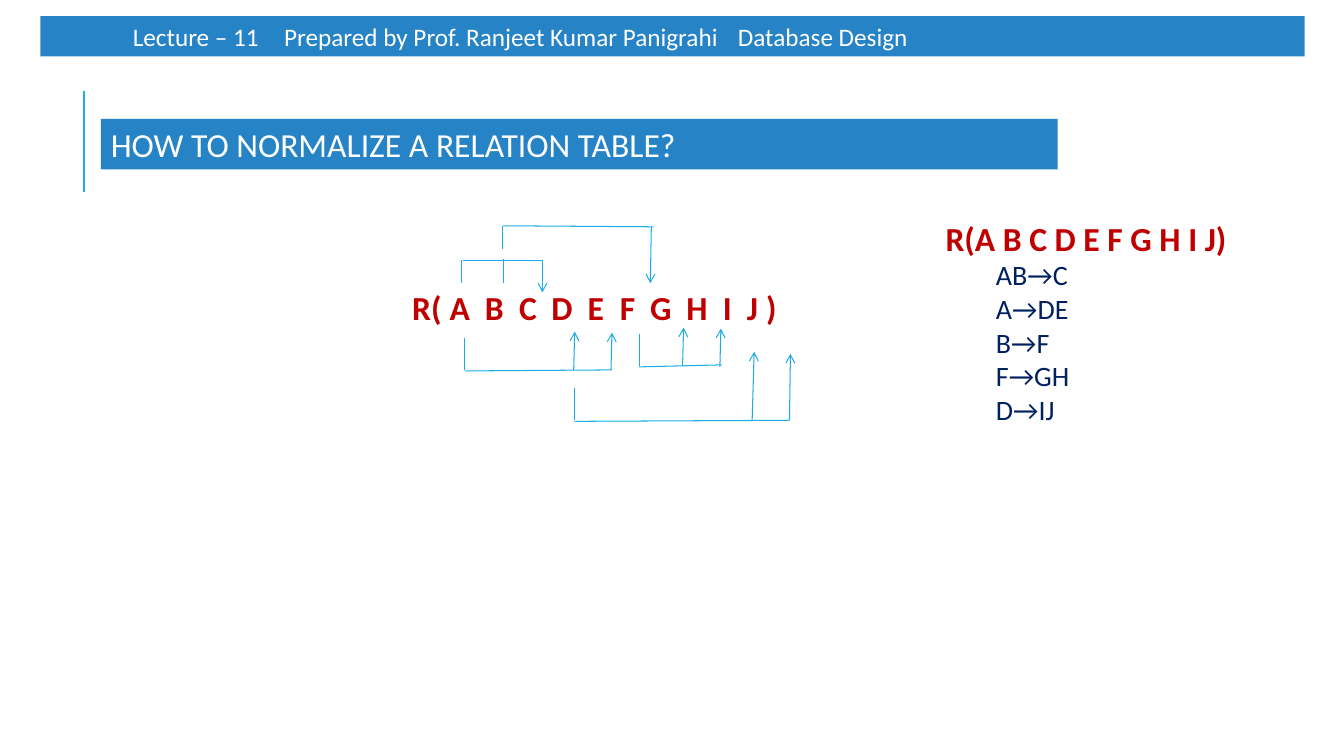
"""Build the slide that shows how to normalize a relation table."""
from dataclasses import dataclass
from typing import Any

from lxml.etree import SubElement
from pptx import Presentation
from pptx.dml.color import RGBColor as Rgb
from pptx.enum.shapes import MSO_CONNECTOR as Connector, MSO_SHAPE as Preset
from pptx.enum.text import MSO_ANCHOR as Anchor, PP_ALIGN as Align
from pptx.oxml.ns import qn
from pptx.util import Inches, Pt

Point = tuple[float, float]
Segment = tuple[Point, Point]


@dataclass(frozen=True)
class Theme:
    """Colours, font and type sizes of the slide."""
    font: str = "Calibri"
    banner: str = "2683C6"
    accent: str = "1CADE4"
    white: str = "FFFFFF"
    relation: str = "C00000"
    dependency: str = "002060"
    heading_size: int = 24
    dependency_size: int = 20
    header_size: int = 18
    bracket_width: float = 0.75
    rule_width: float = 1.5


THEME = Theme()


@dataclass(frozen=True)
class Line:
    """One paragraph with its type, indent and tab stops in inches."""
    text: str
    size: int
    color: str
    bold: bool = False
    indent: float = 0
    tabs: tuple[float, ...] = ()


@dataclass(frozen=True)
class Block:
    """A box of text, filled when it is a banner."""
    left: float
    top: float
    width: float
    height: float
    lines: tuple[Line, ...]
    fill: str | None = None


@dataclass(frozen=True)
class Bracket:
    """One dependency: a bar, the determinant stems and the arrows."""
    bar: Segment
    stems: tuple[Segment, ...]
    arrows: tuple[Segment, ...]


DEPENDENCIES = ("AB→C", "A→DE", "B→F", "F→GH", "D→IJ")
ATTRIBUTE_STOPS = (0.37, 0.72, 1.06, 1.38, 1.74, 2.06, 2.36, 2.72, 3.08, 3.32, 3.51)

BLOCKS = (
    Block(1, 1.18, 9.49, 0.5, (
        Line("HOW TO NORMALIZE A RELATION TABLE?", THEME.heading_size, THEME.white),
    ), THEME.banner),
    Block(0.4, 0.16, 12.54, 0.4, (
        Line("Lecture – 11\tPrepared by Prof. Ranjeet Kumar Panigrahi\tDatabase Design",
             THEME.header_size, THEME.white, indent=0.82, tabs=(3.55, 9.81)),
    ), THEME.banner),
    Block(3.99, 2.8, 4.19, 0.5, (
        Line("\t".join(("R(", *"ABCDEFGHIJ", ")")), THEME.heading_size,
             THEME.relation, True, tabs=ATTRIBUTE_STOPS),
    )),
    Block(9.28, 2.11, 3.35, 2.26, (
        Line("R(A B C D E F G H I J)", THEME.heading_size, THEME.relation, True),
        *(Line(rule, THEME.dependency_size, THEME.dependency, indent=0.5)
          for rule in DEPENDENCIES),
    )),
)

BRACKETS = (
    Bracket(((4.59, 2.58), (5.39, 2.58)),
            (((4.58, 2.58), (4.58, 2.81)), ((4.99, 2.57), (4.99, 2.81))),
            (((5.38, 2.59), (5.38, 2.9)),)),
    Bracket(((4.99, 2.24), (6.48, 2.25)),
            (((4.98, 2.24), (4.98, 2.47)),),
            (((6.46, 2.25), (6.45, 2.81)),)),
    Bracket(((4.61, 3.68), (6.07, 3.67)),
            (((4.61, 3.35), (4.61, 3.67)),),
            (((5.69, 3.67), (5.7, 3.29)), ((6.06, 3.67), (6.07, 3.3)))),
    Bracket(((5.7, 4.18), (7.83, 4.17)),
            (((5.7, 3.85), (5.7, 4.17)),),
            (((7.46, 4.17), (7.48, 3.49)), ((7.83, 4.17), (7.84, 3.51)))),
    Bracket(((6.34, 3.64), (7.16, 3.62)),
            (((6.34, 3.31), (6.34, 3.63)),),
            (((6.77, 3.63), (6.78, 3.25)), ((7.14, 3.64), (7.15, 3.26)))),
)


def apply_format(target: Any, values: dict[str, Any]) -> None:
    """Set every named attribute on the target."""
    for name, value in values.items():
        setattr(target, name, value)


def write_line(paragraph: Any, line: Line) -> None:
    """Fill one paragraph."""
    paragraph.alignment = Align.LEFT
    properties = paragraph._p.get_or_add_pPr()
    if line.indent:
        apply_indent = {"marL": line.indent, "indent": 0}
        for name, inches in apply_indent.items():
            properties.set(name, str(Inches(inches)))
    if line.tabs:
        stops = SubElement(properties, qn("a:tabLst"))
        for stop in line.tabs:
            SubElement(stops, qn("a:tab"), pos=str(Inches(stop)), algn="l")
    run = paragraph.add_run()
    run.text = line.text
    apply_format(run.font, {"name": THEME.font, "size": Pt(line.size), "bold": line.bold})
    run.font.color.rgb = Rgb.from_string(line.color)


def draw_block(shapes: Any, block: Block) -> None:
    """Draw a banner or a plain text box."""
    place = [Inches(v) for v in (block.left, block.top, block.width, block.height)]
    if block.fill:
        box = shapes.add_shape(Preset.RECTANGLE, *place)
        box.shadow.inherit = False
        box.fill.solid()
        box.fill.fore_color.rgb = Rgb.from_string(block.fill)
        box.line.fill.background()
    else:
        box = shapes.add_textbox(*place)
    frame = box.text_frame
    apply_format(frame, {"word_wrap": True, "vertical_anchor": Anchor.TOP})
    for index, line in enumerate(block.lines):
        write_line(frame.add_paragraph() if index else frame.paragraphs[0], line)


def draw_segment(shapes: Any, segment: Segment, width: float, arrow: bool = False) -> None:
    """Draw one straight line, with an open arrowhead if asked."""
    start, end = segment
    edge = shapes.add_connector(Connector.STRAIGHT, *map(Inches, (*start, *end)))
    edge.line.width = Pt(width)
    edge.line.color.rgb = Rgb.from_string(THEME.accent)
    if arrow:
        SubElement(edge.line._get_or_add_ln(), qn("a:tailEnd"), type="arrow")
    SubElement(edge._element.spPr, qn("a:effectLst"))


def draw_bracket(shapes: Any, bracket: Bracket) -> None:
    """Draw one dependency as a group of lines."""
    group = shapes.add_group_shape().shapes
    for segment in (bracket.bar, *bracket.stems):
        draw_segment(group, segment, THEME.bracket_width)
    for segment in bracket.arrows:
        draw_segment(group, segment, THEME.bracket_width, arrow=True)


def main() -> None:
    """Build and save the slide."""
    deck = Presentation()
    apply_format(deck, {"slide_width": Inches(13.33), "slide_height": Inches(7.5)})
    shapes = deck.slides.add_slide(deck.slide_layouts[6]).shapes
    draw_segment(shapes, ((0.83, 1.9), (0.83, 0.9)), THEME.rule_width)
    for block in BLOCKS:
        draw_block(shapes, block)
    for bracket in BRACKETS:
        draw_bracket(shapes, bracket)
    deck.save("out.pptx")


if __name__ == "__main__":
    main()
